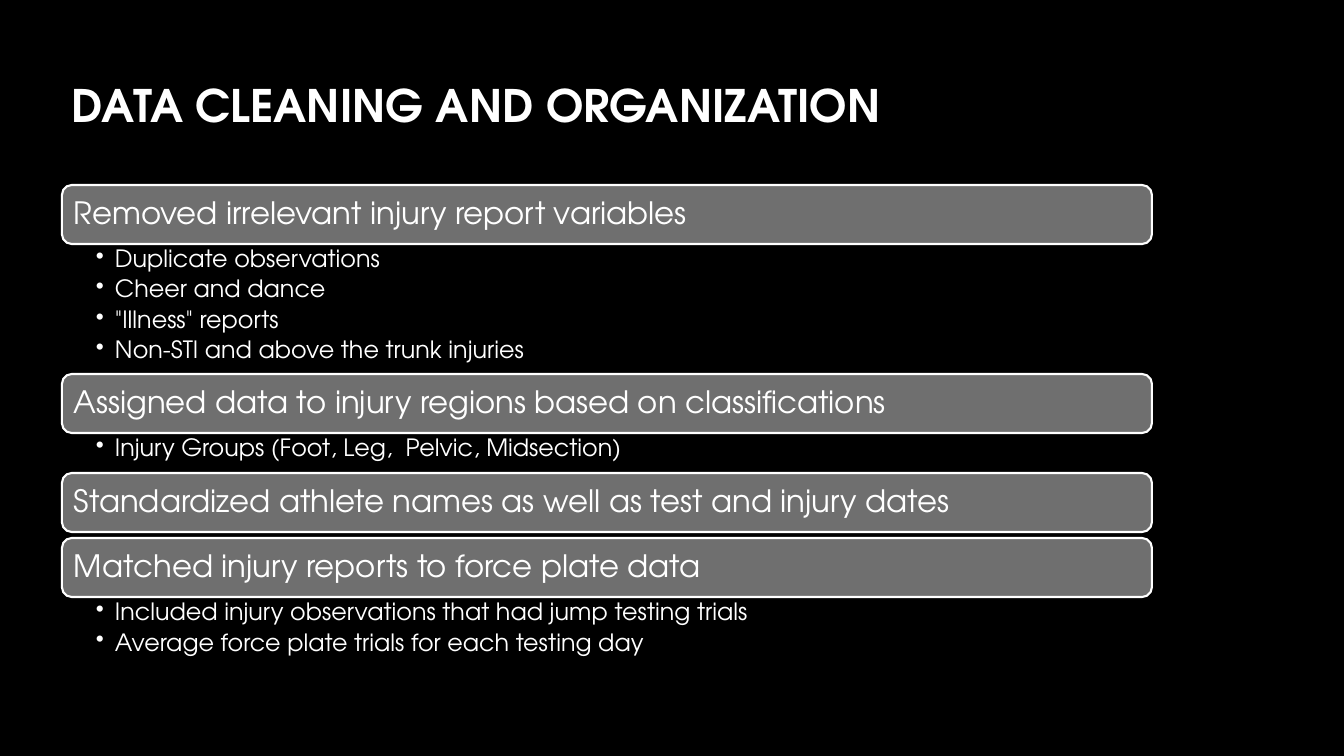
from dataclasses import dataclass

from lxml import etree
from pptx import Presentation
from pptx.dml.color import RGBColor
from pptx.enum.shapes import MSO_SHAPE
from pptx.enum.text import MSO_ANCHOR, PP_ALIGN
from pptx.oxml.ns import qn
from pptx.slide import Slide
from pptx.text.text import Font, TextFrame
from pptx.util import Emu, Pt

SLIDE_W, SLIDE_H = 1344, 756
SCALE = 12192000 / SLIDE_W
FACE = "TeX Gyre Adventor"
BLACK, WHITE, SILVER, GRAY = "000000", "FFFFFF", "A6A6A6", "6F6F6F"

# Stack of bars and their bullet lists
LEFT, TOP, WIDTH = 62, 185, 1090
BAR_H, BAR_GAP = 59, 6
BULLET_INDENT = 19


@dataclass(frozen=True)
class Step:
    heading: str
    details: tuple[str, ...] = ()
    details_h: int = 0


STEPS = (
    Step("Removed irrelevant injury report variables",
         ("Duplicate observations", "Cheer and dance", '"Illness" reports',
          "Non-STI and above the trunk injuries"), 130),
    Step("Assigned data to injury regions based on classifications",
         ("Injury Groups (Foot, Leg,  Pelvic, Midsection)",), 40),
    Step("Standardized athlete names as well as test and injury dates"),
    Step("Matched injury reports to force plate data",
         ("Included injury observations that had jump testing trials",
          "Average force plate trials for each testing day"), 66),
)


def px(length: int) -> Emu:
    return Emu(round(length * SCALE))


def color(value: str) -> RGBColor:
    return RGBColor.from_string(value)


def set_font(font: Font, size: int) -> None:
    font.name = FACE
    font.size = Pt(size)
    font.color.rgb = color(WHITE)


def set_frame(frame: TextFrame, anchor: MSO_ANCHOR,
              left: int, top: int, right: int, bottom: int) -> None:
    frame.word_wrap = True
    frame.vertical_anchor = anchor
    frame.margin_left, frame.margin_top = px(left), px(top)
    frame.margin_right, frame.margin_bottom = px(right), px(bottom)


def add_title(slide: Slide, text: str) -> None:
    frame = slide.shapes.add_textbox(px(62), px(22), px(1246), px(166)).text_frame
    set_frame(frame, MSO_ANCHOR.MIDDLE, 10, 5, 10, 5)
    title = frame.paragraphs[0].add_run()
    title.text = text
    title.font.size, title.font.bold = Pt(32), True
    # White to silver gradient
    title.font.fill.gradient()
    title.font.fill.gradient_angle = 267
    for stop, shade in zip(title.font.fill.gradient_stops, (WHITE, SILVER)):
        stop.color.rgb = color(shade)
    # Soft text shadow
    effects = etree.SubElement(title.font._element, qn("a:effectLst"))
    shadow = etree.SubElement(effects, qn("a:outerShdw"),
                              blurRad="38100", dist="25400", dir="2700000")
    etree.SubElement(shadow, qn("a:srgbClr"), val=BLACK)
    title.font.name = FACE


def add_bar(slide: Slide, top: int, heading: str) -> None:
    bar = slide.shapes.add_shape(MSO_SHAPE.ROUNDED_RECTANGLE,
                                 px(LEFT), px(top), px(WIDTH), px(BAR_H))
    bar.shadow.inherit = False
    bar.fill.solid()
    bar.fill.fore_color.rgb = color(GRAY)
    bar.line.color.rgb = color(WHITE)
    bar.line.width = Pt(1.5)
    set_frame(bar.text_frame, MSO_ANCHOR.MIDDLE, 9, 9, 9, 9)
    line = bar.text_frame.paragraphs[0]
    line.text = heading
    line.alignment = PP_ALIGN.LEFT
    line.line_spacing = 0.9
    set_font(line.font, 22)


def add_details(slide: Slide, top: int, height: int, details: tuple[str, ...]) -> None:
    frame = slide.shapes.add_textbox(px(LEFT), px(top), px(WIDTH), px(height)).text_frame
    set_frame(frame, MSO_ANCHOR.TOP, 34, 3, 17, 3)
    for index, detail in enumerate(details):
        line = frame.add_paragraph() if index else frame.paragraphs[0]
        line.text = detail
        line.level = 1
        line.line_spacing = 0.9
        line.space_after = Pt(3.4)
        # Hanging bullet
        props = line._p.get_or_add_pPr()
        props.set("marL", str(px(BULLET_INDENT)))
        props.set("indent", str(-px(BULLET_INDENT)))
        etree.SubElement(props, qn("a:buChar"), char="•")
        set_font(line.font, 17)


def main() -> None:
    deck = Presentation()
    deck.slide_width, deck.slide_height = px(SLIDE_W), px(SLIDE_H)
    slide = deck.slides.add_slide(deck.slide_layouts[6])
    slide.background.fill.solid()
    slide.background.fill.fore_color.rgb = color(BLACK)

    add_title(slide, "DATA CLEANING AND ORGANIZATION")

    # Each bar sits directly under the list before it
    top = TOP
    for step in STEPS:
        add_bar(slide, top, step.heading)
        top += BAR_H
        if step.details:
            add_details(slide, top, step.details_h, step.details)
            top += step.details_h
        else:
            top += BAR_GAP

    deck.save("out.pptx")


if __name__ == "__main__":
    main()
